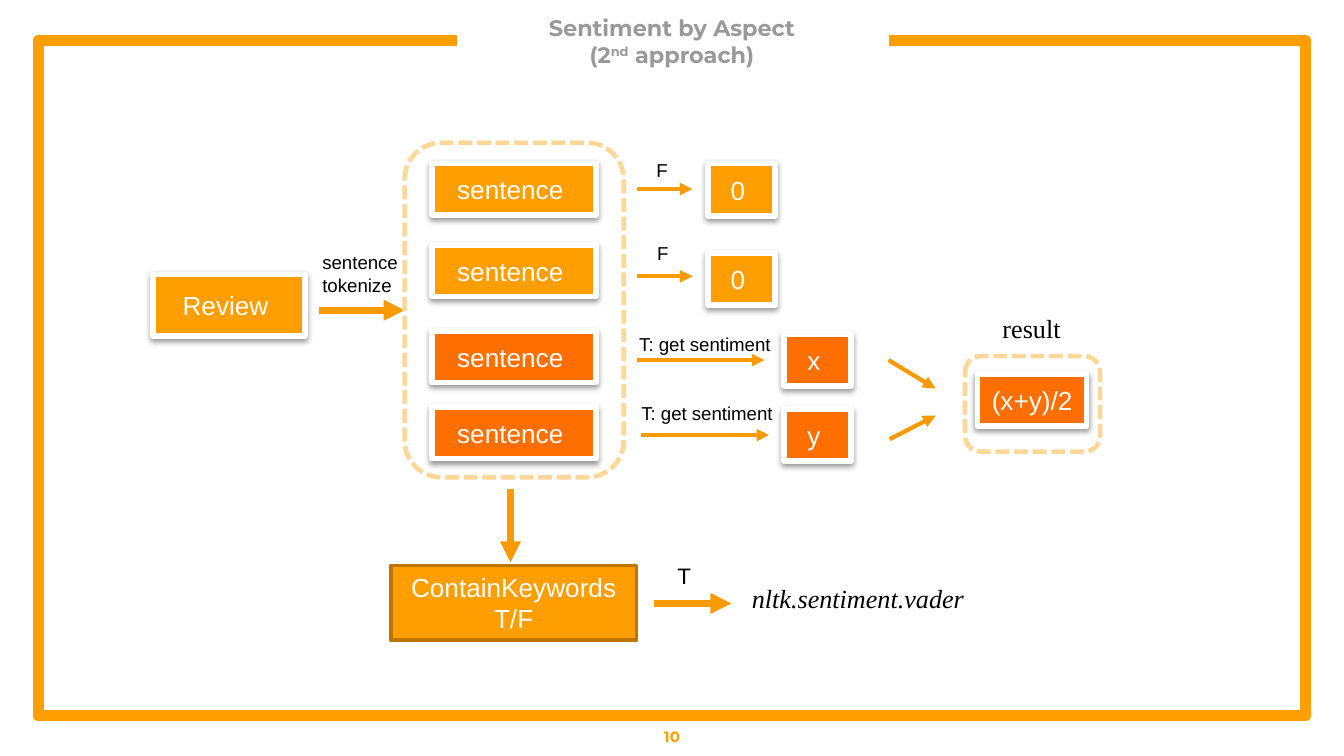
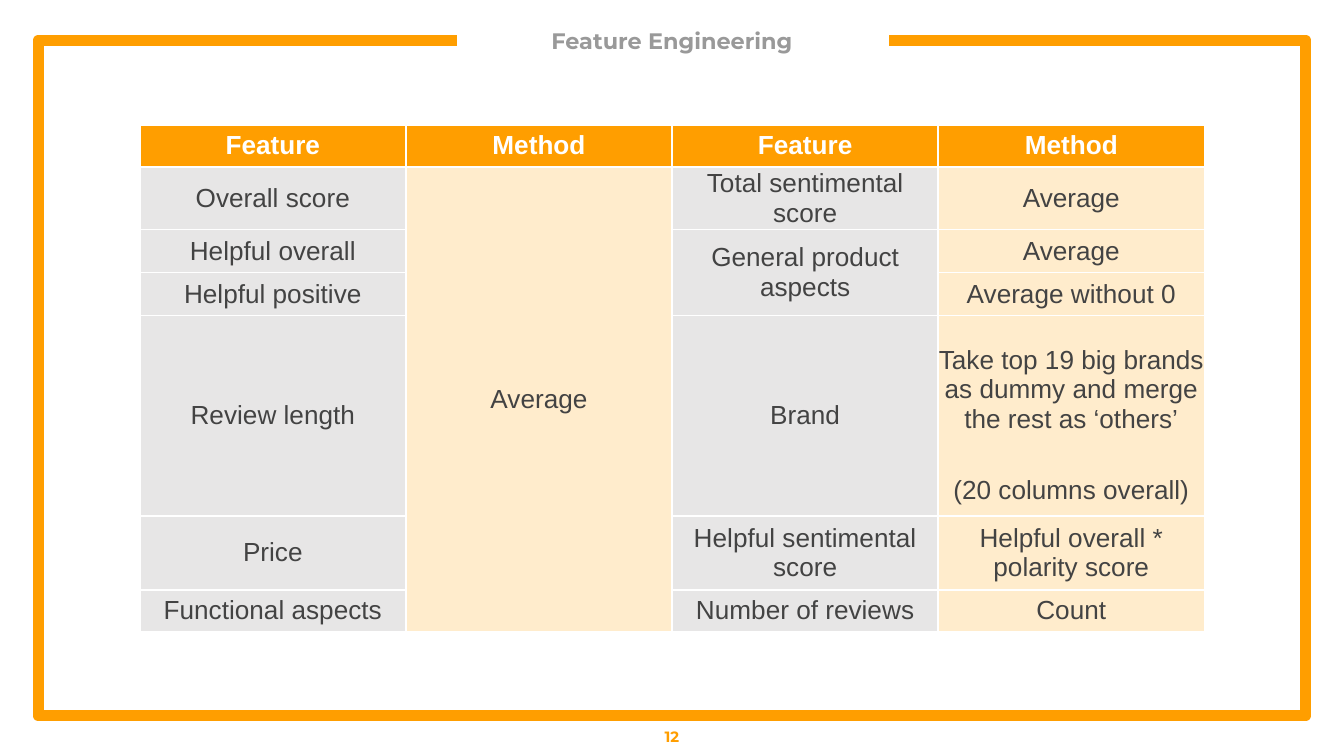
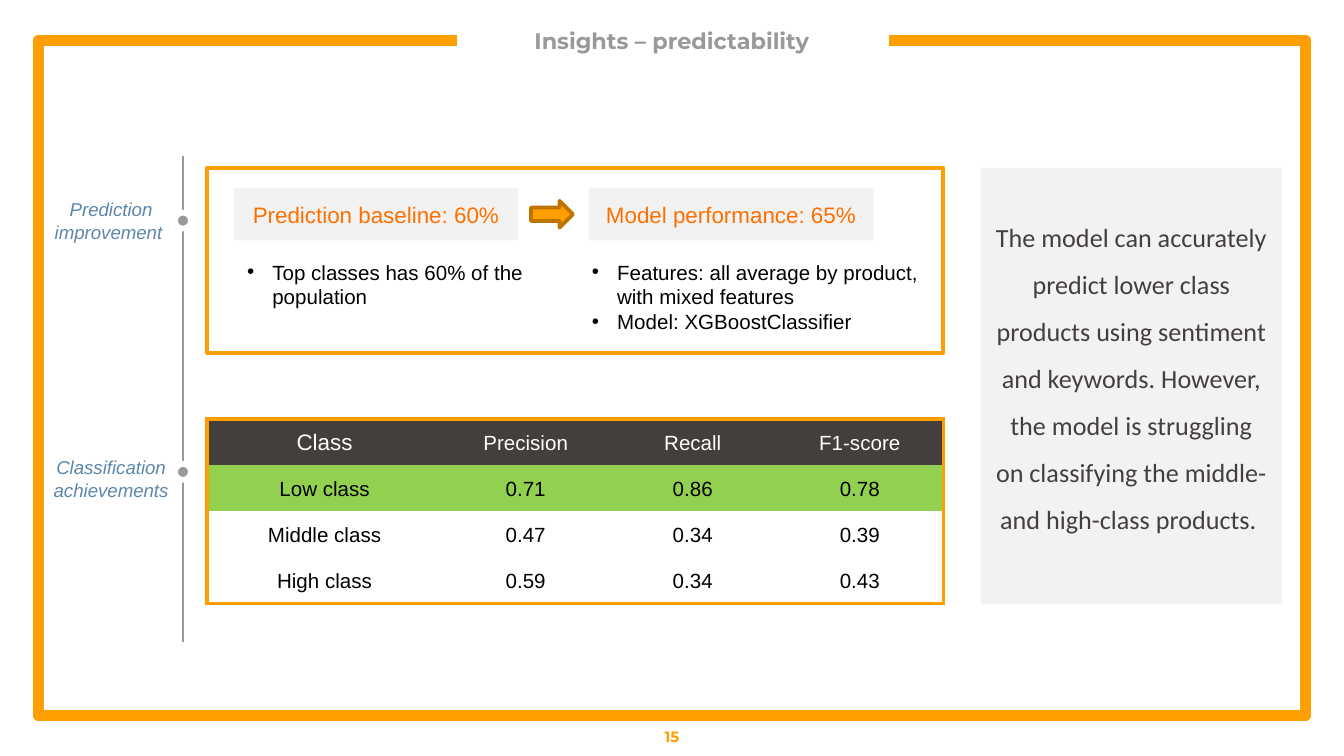
from dataclasses import dataclass

import pptx
import pptx.dml.color
import pptx.enum.dml
import pptx.enum.shapes
import pptx.enum.text
import pptx.oxml
import pptx.oxml.ns
import pptx.util

Pt = pptx.util.Pt
RGB = pptx.dml.color.RGBColor.from_string
qn = pptx.oxml.ns.qn
SHAPE = pptx.enum.shapes.MSO_SHAPE
ALIGN = pptx.enum.text.PP_ALIGN
ANCHOR = pptx.enum.text.MSO_ANCHOR
SIDES = "LRTB"


@dataclass(frozen=True)
class Theme:
    orange: str = "FF9E00"
    deep: str = "FF6F00"
    arrow: str = "F99B00"
    edge: str = "BD7500"
    pale: str = "FFD899"
    cream: str = "FFECCC"
    white: str = "FFFFFF"
    black: str = "000000"
    grey: str = "999999"
    light: str = "F2F2F2"
    cell: str = "E7E6E6"
    text: str = "434343"
    dark: str = "443F3D"
    green: str = "92D050"
    blue: str = "5E86AC"
    head_font: str = "Montserrat"
    body_font: str = "Arial"
    serif: str = "Times New Roman"
    side_font: str = "Calibri"
    tiny: int = 8
    small: int = 10
    table: int = 11
    medium: int = 12
    large: int = 14


T = Theme()


def font(size, color, name=T.body_font, **more):
    return {"size": Pt(size), "color": color, "name": name, **more}


def set_attrs(obj, values):
    for key, value in values.items():
        setattr(obj, key, value)


def add_run(p, text, fmt):
    r = p.add_run()
    r.text = text
    set_attrs(r.font, {k: v for k, v in fmt.items() if k != "color"})
    r.font.color.rgb = RGB(fmt["color"])
    return r


def add_xml(parent, tag, children="", **attrs):
    """Append a drawing element, with optional inner XML, and return it."""
    listed = "".join(f' {k}="{v}"' for k, v in attrs.items())
    e = pptx.oxml.parse_xml(f"<a:{tag} {pptx.oxml.ns.nsdecls('a')}{listed}>{children}</a:{tag}>")
    parent.append(e)
    return e


def solid(color):
    return f'<a:solidFill><a:srgbClr val="{color}"/></a:solidFill>'


def add_bullet(p):
    pPr = p._p.get_or_add_pPr()
    indent = Pt(13.5)
    pPr.set("marL", str(indent))
    pPr.set("indent", str(-indent))
    add_xml(pPr, "buClr", f'<a:srgbClr val="{T.black}"/>')
    add_xml(pPr, "buFont", typeface=T.body_font)
    add_xml(pPr, "buChar", char="•")


def write(tf, lines, fmt, bullets=False, **para):
    """Write one paragraph for each line."""
    tf.word_wrap = True
    for i, line in enumerate(lines.split("\n")):
        p = tf.add_paragraph() if i else tf.paragraphs[0]
        if bullets:
            add_bullet(p)
        set_attrs(p, para)
        add_run(p, line, fmt)


def textbox(sl, box, lines, fmt, **para):
    s = sl.shapes.add_textbox(*map(Pt, box))
    write(s.text_frame, lines, fmt, **para)
    return s


def shape(sl, kind, box, fill=None, line=None, width=2.0, dash=None):
    s = sl.shapes.add_shape(kind, *map(Pt, box))
    s.shadow.inherit = False
    if fill:
        s.fill.solid()
        s.fill.fore_color.rgb = RGB(fill)
    else:
        s.fill.background()
    if line:
        s.line.color.rgb = RGB(line)
        s.line.width = Pt(width)
        s.line.dash_style = dash
    else:
        s.line.fill.background()
    return s


def text_shape(sl, box, lines, fmt, fill, line=None, width=2.0, **para):
    s = shape(sl, SHAPE.RECTANGLE, box, fill, line, width)
    s.text_frame.vertical_anchor = ANCHOR.MIDDLE
    write(s.text_frame, lines, fmt, alignment=ALIGN.CENTER, **para)
    return s


def card(sl, box, label, fill):
    """A white-edged box with a soft shadow below it."""
    s = text_shape(sl, box, label, font(T.large, T.white), fill, T.white, 3)
    effects = s._element.spPr.find(qn("a:effectLst"))
    add_xml(effects, "outerShdw",
            f'<a:srgbClr val="{T.black}"><a:alpha val="38000"/></a:srgbClr>',
            blurRad=Pt(3.1), dist=Pt(1.6), dir=5400000, rotWithShape=0)


def dashed_frame(sl, box):
    shape(sl, SHAPE.ROUNDED_RECTANGLE, box, line=T.pale, width=2.5,
          dash=pptx.enum.dml.MSO_LINE.SQUARE_DOT)


def connector(sl, ends, color, width, arrow=False):
    s = sl.shapes.add_connector(pptx.enum.shapes.MSO_CONNECTOR.STRAIGHT, *map(Pt, ends))
    s.line.color.rgb = RGB(color)
    s.line.width = Pt(width)
    if arrow:
        add_xml(s.line._get_or_add_ln(), "tailEnd", type="triangle")
    add_xml(s._element.spPr, "effectLst")


def arrow(sl, *ends, width=2.25):
    connector(sl, ends, T.arrow, width, arrow=True)


def base_slide(prs, title, number):
    """Frame, title and page number; ^ marks start and end a superscript."""
    sl = prs.slides.add_slide(prs.slide_layouts[6])
    left, top, right, bottom = 20.5, 21.6, 699.5, 383.5
    corners = [(left, top), (left, bottom), (right, bottom), (right, top), (476.2, top)]
    ff = sl.shapes.build_freeform(Pt(244.8), Pt(top))
    ff.add_line_segments([tuple(map(Pt, c)) for c in corners], close=False)
    frame = ff.convert_to_shape()
    frame.shadow.inherit = False
    frame.fill.background()
    frame.line.color.rgb = RGB(T.orange)
    frame.line.width = Pt(6)

    tf = sl.shapes.add_textbox(*map(Pt, (255.3, 8, 209.4, 28))).text_frame
    set_attrs(tf, dict(word_wrap=True, vertical_anchor=ANCHOR.MIDDLE, margin_left=0,
                       margin_right=0, margin_top=0, margin_bottom=0))
    p = tf.paragraphs[0]
    p.alignment = ALIGN.CENTER
    for i, line in enumerate(title.split("\n")):
        if i:
            p.add_line_break()
        for j, part in enumerate(line.split("^")):
            r = add_run(p, part, font(T.medium, T.grey, T.head_font, bold=True))
            if j % 2:
                r._r.get_or_add_rPr().set("baseline", "30000")

    page = textbox(sl, (0, 383.8, 720, 21.6), str(number),
                   font(T.tiny, T.orange, T.head_font, bold=True), alignment=ALIGN.CENTER)
    page.text_frame.vertical_anchor = ANCHOR.MIDDLE
    return sl


def add_table(sl, left, top, widths, heights):
    tbl = sl.shapes.add_table(len(heights), len(widths), *map(
        Pt, (left, top, sum(widths), sum(heights)))).table
    tbl.first_row = tbl.horz_banding = False
    for col, w in zip(tbl.columns, widths):
        col.width = Pt(w)
    for row, h in zip(tbl.rows, heights):
        row.height = Pt(h)
    return tbl


def style_cell(cell, fill, sides, color, width, margin=0):
    """Fill a cell and draw lines on the named sides only."""
    tcPr = cell._tc.get_or_add_tcPr()
    for side in SIDES:
        add_xml(tcPr, f"ln{side}", solid(color) if side in sides else "<a:noFill/>",
                w=Pt(width))
    if fill:
        cell.fill.solid()
        cell.fill.fore_color.rgb = RGB(fill)
    else:
        cell.fill.background()
    set_attrs(cell, dict(vertical_anchor=ANCHOR.MIDDLE, margin_left=Pt(margin),
                         margin_right=Pt(margin), margin_top=0, margin_bottom=0))


def sentiment_slide(prs):
    sl = base_slide(prs, "Sentiment by Aspect\n(2^nd^ approach)", 10)
    label = font(T.small, T.black)

    card(sl, (82, 147, 81.5, 33), "Review ", T.orange)
    arrow(sl, 170.8, 166.2, 216.8, 166.2, width=3.75)
    textbox(sl, (165.6, 131, 62, 32), "sentence\ntokenize", label)
    dashed_frame(sl, (216.8, 76.5, 117.4, 179.2))

    for top, fill in ((87.7, T.orange), (131.3, T.orange), (177.4, T.deep), (218.2, T.deep)):
        card(sl, (231.4, top, 88, 27.5), "sentence ", fill)

    scores = [
        # score, fill, left, top, arrow start, end and height, label, its place
        ("0 ", T.orange, 379.3, 87.7, 341.3, 371, 101.3, "F", 344.6, 81.5),
        ("0 ", T.orange, 379.3, 135.5, 341.3, 371, 148, "F", 345, 126),
        ("x ", T.deep, 420, 178.8, 341.3, 409.5, 192.9, "T: get sentiment", 335.4, 175),
        ("y ", T.deep, 420, 219, 343.5, 412, 233.1, "T: get sentiment", 336.5, 212),
    ]
    for score, fill, left, top, start, end, y, name, name_left, name_top in scores:
        card(sl, (left, top, 36, 28), score, fill)
        arrow(sl, start, y, end, y)
        textbox(sl, (name_left, name_top, 91, 19.5), name, label)

    arrow(sl, 476, 192.9, 501.2, 208.2)
    arrow(sl, 476.6, 235.3, 501.2, 222.7)
    card(sl, (523.7, 200.3, 58.5, 28), "(x+y)/2 ", T.deep)
    dashed_frame(sl, (517, 190.8, 72.4, 51.2))
    textbox(sl, (530, 163.8, 50, 24.5), "result", font(T.large, T.black, T.serif))

    arrow(sl, 273.5, 262, 273.5, 301.3, width=3.75)
    text_shape(sl, (209.4, 303, 131.6, 39.8), "ContainKeywords\nT/F",
               font(T.large, T.white), T.orange, T.edge)
    arrow(sl, 350.2, 323.3, 391.8, 323.3, width=3.75)
    textbox(sl, (355.8, 297.7, 22, 21.6), "T", font(T.medium, T.black))
    textbox(sl, (395.7, 308.4, 134, 24.5), "nltk.sentiment.vader",
            font(T.large, T.black, T.serif, italic=True))


def feature_slide(prs):
    sl = base_slide(prs, "Feature Engineering", 12)
    rows = [
        ("Feature", "Method", "Feature", "Method"),
        ("Overall score", "Average", "Total sentimental score", "Average"),
        ("Helpful overall", "", "General product aspects", "Average"),
        ("Helpful positive", "", "", "Average without 0"),
        ("Review length", "", "Brand",
         "Take top 19 big brands as dummy and merge the rest as ‘others’"),
        ("", "", "", "(20 columns overall)"),
        ("Price", "", "Helpful sentimental score", "Helpful overall * polarity score"),
        ("Functional aspects", "", "Number of reviews", "Count"),
    ]
    tbl = add_table(sl, 74.9, 66.9, [142.6] * 4, [22.5, 28, 23, 23, 79.5, 28, 39.5, 22.5])
    for i, row in enumerate(rows):
        for j, text in enumerate(row):
            cell = tbl.cell(i, j)
            fill = T.orange if i == 0 else (T.cell, T.cream)[j % 2]
            sides = {(4, 3): "LRT", (5, 3): "LRB"}.get((i, j), SIDES)
            style_cell(cell, fill, sides, T.white, 1)
            if text:
                fmt = font(T.large, T.text if i else T.white, bold=i == 0)
                write(cell.text_frame, text, fmt, alignment=ALIGN.CENTER)
    for first, last, col in ((1, 7, 1), (2, 3, 2), (4, 5, 0), (4, 5, 2)):
        tbl.cell(first, col).merge(tbl.cell(last, col))


def score_table(sl, left, top):
    rows = [
        ("Class", "Precision", "Recall", "F1-score"),
        ("Low class", "0.71", "0.86", "0.78"),
        ("Middle class", "0.47", "0.34", "0.39"),
        ("High class", "0.59", "0.34", "0.43"),
    ]
    tbl = add_table(sl, left, top, [126] + [89.5] * 3, [24.7] * 4)
    end = len(rows) - 1
    for i, row in enumerate(rows):
        for j, text in enumerate(row):
            edges = {"L": j == 0, "R": j == end, "T": i == 0, "B": i == end}
            sides = [side for side, outer in edges.items() if outer]
            cell = tbl.cell(i, j)
            style_cell(cell, (T.dark, T.green, None, None)[i], sides, T.orange, 2.25, 5.4)
            size = T.medium if i == j == 0 else T.table
            write(cell.text_frame, text, font(size, T.black if i else T.white),
                  alignment=ALIGN.CENTER, line_spacing=1.07, space_after=Pt(8))


def insights_slide(prs):
    sl = base_slide(prs, "Insights – predictability", 15)
    left = 110.9
    score_table(sl, left, 224.6)
    shape(sl, SHAPE.RECTANGLE, (left, 90, 394.5, 99.2), line=T.orange)

    findings = [
        (125.3, "Prediction baseline: 60%", 125.3, 168,
         "Top classes has 60% of the population"),
        (315.5, "Model performance: 65%", 310, 209.5,
         "Features: all average by product, with mixed features\nModel: XGBoostClassifier"),
    ]
    for head_left, head, list_left, width, points in findings:
        text_shape(sl, (head_left, 100.8, 152.4, 28), head, font(T.medium, T.deep), T.light)
        textbox(sl, (list_left, 135.5, width, 47), points, font(T.table, T.black), bullets=True)
    shape(sl, SHAPE.RIGHT_ARROW, (284.5, 107.6, 22.5, 14.4), T.orange, T.edge)

    side = text_shape(
        sl, (525.5, 90, 161.3, 233.5),
        "The model can accurately predict lower class products using sentiment and keywords. "
        "However, the model is struggling on classifying the middle- and high-class products. ",
        font(T.large, T.dark, T.side_font), T.light, line_spacing=1.5)
    side.text_frame.margin_bottom = Pt(20.5)

    axis = 98
    connector(sl, (axis, 83.5, axis, 344.2), T.grey, 0.75)
    dot = 8.6
    for y, name, name_top in ((118.2, "Prediction improvement ", 102.5),
                              (252.8, "Classification achievements", 240.9)):
        shape(sl, SHAPE.OVAL, (axis - dot / 2, y - dot / 2, dot, dot), T.grey, T.white, 3)
        textbox(sl, (14, name_top, 91, 32), name, font(T.small, T.blue, italic=True),
                alignment=ALIGN.CENTER)


def main():
    prs = pptx.Presentation()
    prs.slide_width, prs.slide_height = Pt(720), Pt(405)
    for build in (sentiment_slide, feature_slide, insights_slide):
        build(prs)
    prs.save("out.pptx")


if __name__ == "__main__":
    main()
